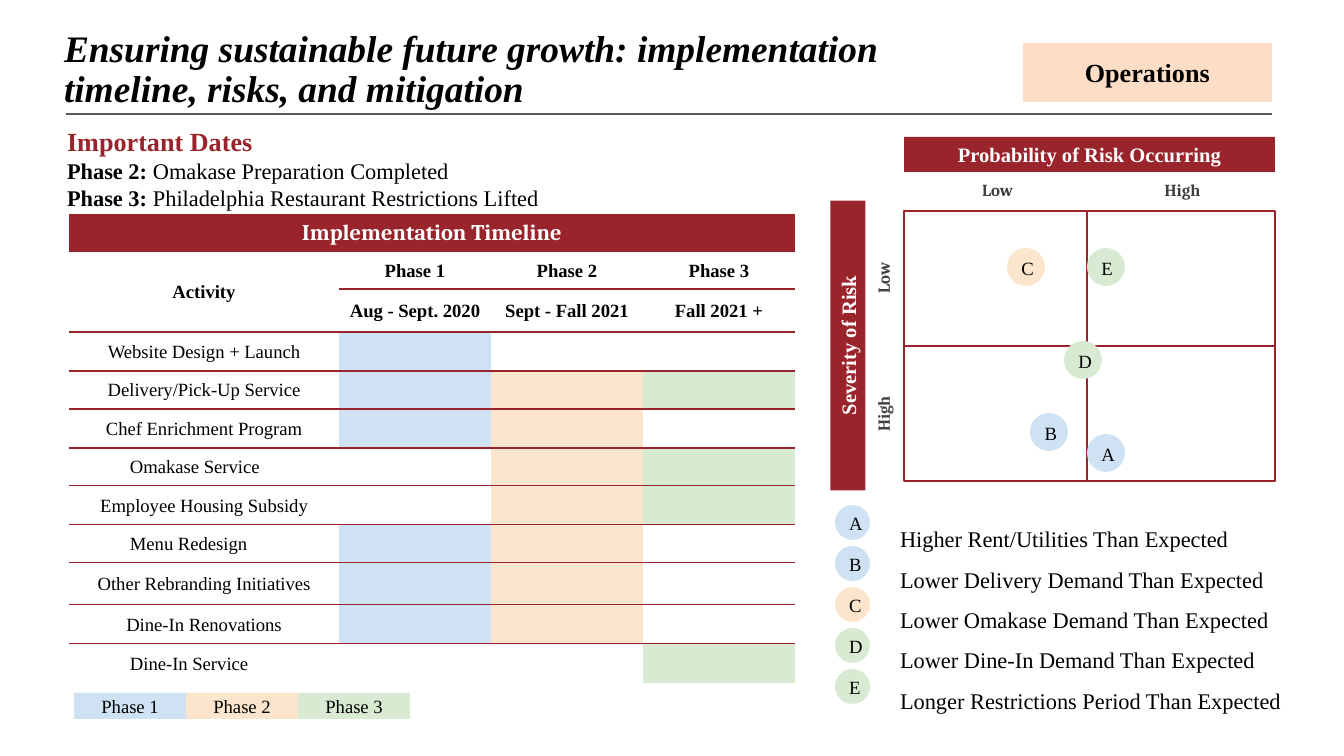
from lxml import etree
from pptx import Presentation
from pptx.dml.color import RGBColor
from pptx.enum.shapes import MSO_CONNECTOR, MSO_SHAPE
from pptx.enum.text import MSO_ANCHOR, MSO_AUTO_SIZE, PP_ALIGN
from pptx.oxml.ns import qn
from pptx.util import Emu, Pt

RECT, ELLIPSE = MSO_SHAPE.RECTANGLE, MSO_SHAPE.OVAL
LEFT, CENTER = PP_ALIGN.LEFT, PP_ALIGN.CENTER
TOP, MIDDLE = MSO_ANCHOR.TOP, MSO_ANCHOR.MIDDLE
STRAIGHT = MSO_CONNECTOR.STRAIGHT

EMU_PER_PX = 914400 / 134.4
SERIF, LABEL = "Times New Roman", "Cambria"
RED, BLACK, WHITE, GRAY, PEACH = "99242C", "000000", "FFFFFF", "3E4043", "FEDDC7"
BLUE, ORANGE, GREEN = PHASE_COLORS = ("CFE2F3", "FCE5CD", "D9EAD3")
PLAIN_TABLE = "{2D5ABB26-0587-4C30-8999-92F81FD0307C}"


def px(length):
    return Emu(round(length * EMU_PER_PX))


def rgb(color):
    return RGBColor.from_string(color)


def run(text, size, color=BLACK, bold=False, italic=False, font=SERIF):
    return text, size, color, bold, italic, font


class SlideBuilder:
    def __init__(self, width, height):
        self.deck = Presentation()
        self.deck.slide_width, self.deck.slide_height = px(width), px(height)
        self.slide = self.deck.slides.add_slide(self.deck.slide_layouts[5])
        self.shapes = self.slide.shapes

    def fill_paragraph(self, paragraph, runs, align=LEFT, spacing=None):
        paragraph.alignment = align
        paragraph.line_spacing = spacing
        for text, size, color, bold, italic, font in runs:
            piece = paragraph.add_run()
            piece.text = text
            piece.font.size, piece.font.name = Pt(size), font
            piece.font.bold, piece.font.italic = bold, italic
            piece.font.color.rgb = rgb(color)

    def fill_frame(self, frame, paragraphs, align=LEFT, anchor=TOP, inset=13, spacing=None):
        frame.word_wrap = True
        frame.auto_size = MSO_AUTO_SIZE.NONE
        frame.vertical_anchor = anchor
        frame.margin_left = frame.margin_right = px(inset)
        frame.margin_top = frame.margin_bottom = px(inset)
        for index, runs in enumerate(paragraphs):
            paragraph = frame.add_paragraph() if index else frame.paragraphs[0]
            self.fill_paragraph(paragraph, runs, align, spacing)

    def title(self, box, title_run):
        holder = self.shapes.title
        holder.left, holder.top, holder.width, holder.height = map(px, box)
        self.fill_frame(holder.text_frame, [[title_run]], anchor=MIDDLE, spacing=0.9)

    def text(self, box, paragraphs, rotation=0, **style):
        textbox = self.shapes.add_textbox(*map(px, box))
        textbox.rotation = rotation
        self.fill_frame(textbox.text_frame, paragraphs, **style)

    def shape(self, kind, box, fill, label=None, line=None, rotation=0, **style):
        shape = self.shapes.add_shape(kind, *map(px, box))
        shape.shadow.inherit = False
        shape.rotation = rotation
        shape.fill.solid()
        shape.fill.fore_color.rgb = rgb(fill)
        if line:
            shape.line.color.rgb = rgb(line)
            shape.line.width = Pt(0.75)
        else:
            shape.line.fill.background()
        if label:
            self.fill_frame(shape.text_frame, [[label]], CENTER, MIDDLE, **style)

    def marker(self, letter, left, top, size):
        self.shape(ELLIPSE, (left, top, size, size), RISK_COLORS[letter],
                   run(letter, 10), inset=9, spacing=1.06)

    def rule(self, x1, x2, y, color):
        line = self.shapes.add_connector(STRAIGHT, px(x1), px(y), px(x2), px(y))
        line.line.color.rgb = rgb(color)
        line.line.width = Pt(0.75)
        etree.SubElement(line._element.spPr, qn("a:effectLst"))

    def table(self, left, top, widths, heights):
        box = (left, top, sum(widths), sum(heights))
        frame = self.shapes.add_table(len(heights), len(widths), *map(px, box))
        table = frame.table
        table.first_row = table.horz_banding = False
        table._tbl.tblPr.find(qn("a:tableStyleId")).text = PLAIN_TABLE
        for column, width in zip(table.columns, widths):
            column.width = px(width)
        for row, height in zip(table.rows, heights):
            row.height = px(height)
        return table

    def cell_border(self, cell, side, color):
        line = etree.SubElement(cell._tc.get_or_add_tcPr(), qn(f"a:ln{side}"), w="9525")
        solid = etree.SubElement(line, qn("a:solidFill"))
        etree.SubElement(solid, qn("a:srgbClr"), val=color)

    def cell(self, cell, fill, label=None, indent=0):
        cell.fill.solid()
        cell.fill.fore_color.rgb = rgb(fill)
        cell.vertical_anchor = MIDDLE
        cell.margin_left = px(1 + indent)
        cell.margin_right = cell.margin_top = px(1)
        cell.margin_bottom = 0
        paragraph = cell.text_frame.paragraphs[0]
        if label:
            self.fill_paragraph(paragraph, [label], LEFT if indent else CENTER)
        else:
            etree.SubElement(paragraph._p, qn("a:endParaRPr"), sz="1000")


RISK_COLORS = {"A": BLUE, "B": BLUE, "C": ORANGE, "D": GREEN, "E": GREEN}
RISKS = ["Higher Rent/Utilities Than Expected", "Lower Delivery Demand Than Expected",
         "Lower Omakase Demand Than Expected", "Lower Dine-In Demand Than Expected",
         "Longer Restrictions Period Than Expected"]
RISK_SPOTS = {"A": (1087, 434), "B": (1030, 413), "C": (1007, 248),
              "D": (1064, 341), "E": (1087, 248)}
PHASES = ["Phase 1", "Phase 2", "Phase 3"]
PERIODS = ["Aug - Sept. 2020", "Sept - Fall 2021", "Fall 2021 +"]
# Activity, active phases, left indent (0 means centred)
ACTIVITIES = [
    ("Website Design + Launch", {1}, 0),
    ("Delivery/Pick-Up Service", {1, 2, 3}, 0),
    ("Chef Enrichment Program", {1, 2}, 0),
    ("Omakase Service", {2, 3}, 60),
    ("Employee Housing Subsidy", {2, 3}, 0),
    ("Menu Redesign", {1, 2}, 60),
    ("Other Rebranding Initiatives", {1, 2}, 0),
    ("Dine-In Renovations", {1, 2}, 0),
    ("Dine-In Service", {3}, 60),
]


def add_timeline(page):
    heights = [38, 37, 43, 39, 38, 39, 38, 39, 38, 42, 39, 39]
    table = page.table(69, 214, [270, 152, 152, 152], heights)
    table.cell(0, 0).merge(table.cell(0, 3))
    table.cell(1, 0).merge(table.cell(2, 0))

    # Lines between rows, from the phase names down
    for row in range(1, len(heights) - 1):
        for column in range(4):
            page.cell_border(table.cell(row, column), "B", RED)
            if not table.cell(row + 1, column).is_spanned:
                page.cell_border(table.cell(row + 1, column), "T", RED)

    # Header rows
    page.cell(table.cell(0, 0), RED,
              run("Implementation Timeline", 12, WHITE, True, font=LABEL))
    page.cell(table.cell(1, 0), WHITE, run("Activity", 10, bold=True))
    for row, names in enumerate((PHASES, PERIODS), 1):
        for column, name in enumerate(names, 1):
            page.cell(table.cell(row, column), WHITE, run(name, 10, bold=True))

    # Activities with their active phases
    for row, (activity, active, indent) in enumerate(ACTIVITIES, 3):
        page.cell(table.cell(row, 0), WHITE, run(activity, 10), indent)
        for phase, color in enumerate(PHASE_COLORS, 1):
            page.cell(table.cell(row, phase), color if phase in active else WHITE)


def add_risk_matrix(page):
    page.shape(RECT, (904, 137, 371, 35), RED,
               run("Probability of Risk Occurring", 11, WHITE, True), inset=0)
    page.shape(RECT, (703, 328, 290, 35), RED,
               run("Severity of Risk", 11, WHITE, True), rotation=270, inset=0)
    for index, level in enumerate(("Low", "High")):
        label = [[run(level, 9, GRAY, True, font=LABEL)]]
        page.text((904 + 185 * index, 180, 187, 23), label, align=CENTER, inset=0)
        page.text((822, 262 + 136 * index, 134, 32), label, 270, align=CENTER, inset=0)
    for top in (211, 346):
        for left, width in ((904, 184), (1087, 188)):
            page.shape(RECT, (left, top, width, 135), WHITE, line=RED)
    for letter, (left, top) in RISK_SPOTS.items():
        page.marker(letter, left, top, 38)

    # Key to the letters
    for index, letter in enumerate(RISK_COLORS):
        page.marker(letter, 835, 505 + 41 * index, 35)
    page.text((887, 499, 422, 216), [[run(risk, 12)] for risk in RISKS], spacing=1.5)


def main():
    page = SlideBuilder(1344, 756)

    # Heading
    page.title((51, 34, 918, 73), run(
        "Ensuring sustainable future growth: implementation timeline, risks, and mitigation",
        20, bold=True, italic=True))
    page.rule(66, 1272, 114, "595959")
    page.shape(RECT, (1023, 43, 249, 59), PEACH, run("Operations", 14, bold=True))

    # Important dates
    page.text((54, 127, 706, 82), [
        [run("Important Dates", 14, RED, True)],
        [run("Phase 2: ", 12, bold=True), run("Omakase Preparation Completed", 12)],
        [run("Phase 3: ", 12, bold=True),
         run("Philadelphia Restaurant Restrictions Lifted", 12)],
    ], anchor=MIDDLE)

    add_timeline(page)
    add_risk_matrix(page)

    # Phase colour key
    for index, (phase, color) in enumerate(zip(PHASES, PHASE_COLORS)):
        page.shape(RECT, (74 + 112 * index, 693, 112, 26), color, run(phase, 10))

    page.deck.save("out.pptx")


if __name__ == "__main__":
    main()
